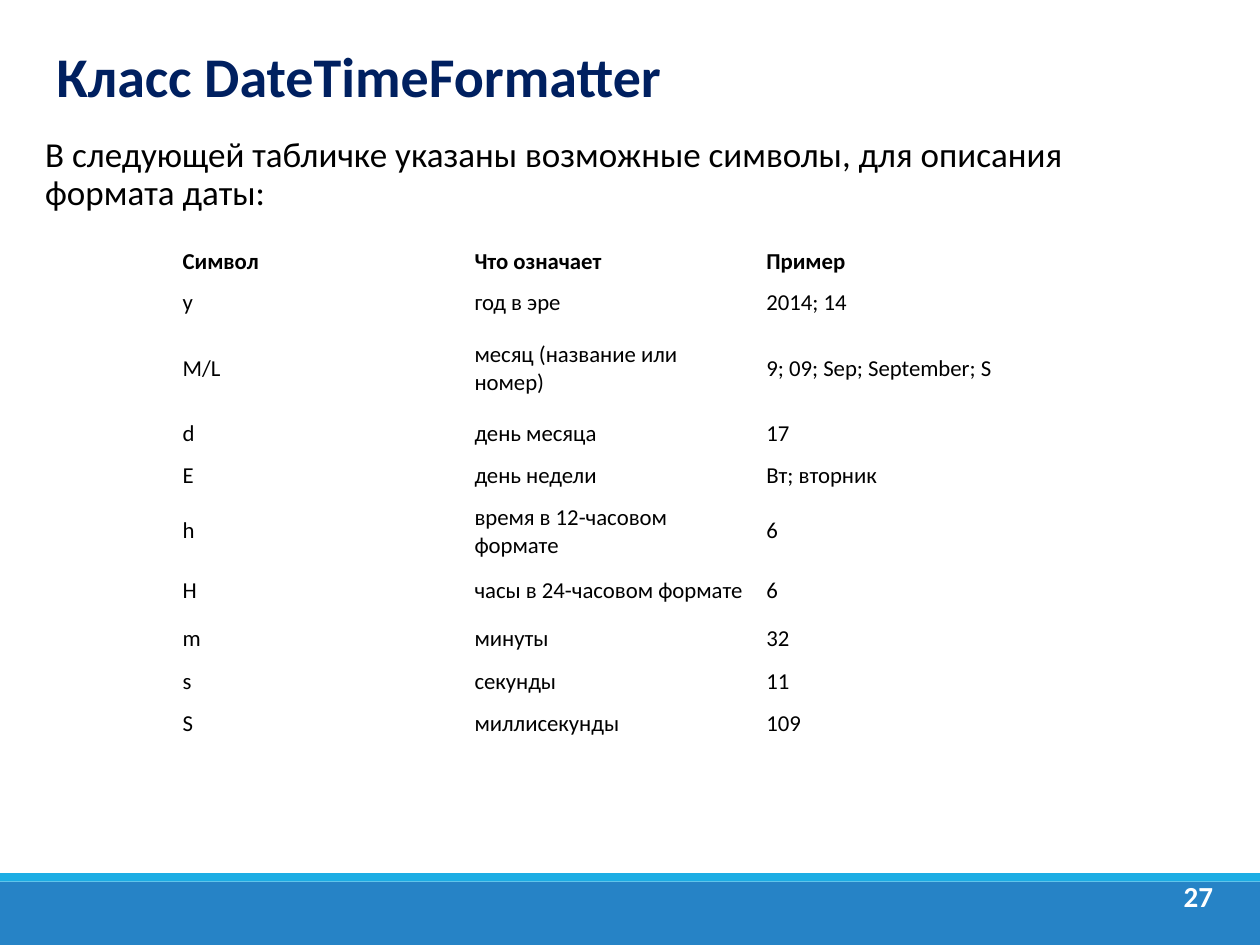
from pptx import Presentation
from pptx.dml.color import RGBColor
from pptx.enum.shapes import MSO_SHAPE
from pptx.enum.text import MSO_ANCHOR, PP_ALIGN
from pptx.util import Inches, Pt

WIDTH, HEIGHT = Inches(10), Inches(7.5)
FONT = "Calibri"
COLORS = {
    "band": "2683C6",
    "stripe": "1CADE4",
    "title": "002060",
    "text": "000000",
    "white": "FFFFFF",
}
SYMBOLS = [
    ("Символ", "Что означает", "Пример"),
    ("y", "год в эре", "2014; 14"),
    ("M/L", "месяц (название или номер)", "9; 09; Sep; September; S"),
    ("d", "день месяца", "17"),
    ("E", "день недели", "Вт; вторник"),
    ("h", "время в 12-часовом формате", "6"),
    ("H", "часы в 24-часовом формате", "6"),
    ("m", "минуты", "32"),
    ("s", "секунды", "11"),
    ("S", "миллисекунды", "109"),
]
ROW_HEIGHTS = [0.29, 0.34, 0.7, 0.34, 0.34, 0.5, 0.42, 0.34, 0.34, 0.33]


def color(name):
    return RGBColor.from_string(COLORS[name])


def share(left, top, width, height):
    return (
        round(WIDTH * left / 100),
        round(HEIGHT * top / 100),
        round(WIDTH * width / 100),
        round(HEIGHT * height / 100),
    )


def write(text_frame, text, size, color_name, bold=False):
    text_frame.text = text
    paragraph = text_frame.paragraphs[0]
    font = paragraph.runs[0].font
    font.name, font.size, font.bold = FONT, Pt(size), bold
    font.color.rgb = color(color_name)
    return paragraph


def add_text(slide, box, text, size, color_name, bold=False):
    text_frame = slide.shapes.add_textbox(*box).text_frame
    text_frame.word_wrap = True
    return text_frame, write(text_frame, text, size, color_name, bold)


def add_bar(slide, box, color_name):
    bar = slide.shapes.add_shape(MSO_SHAPE.RECTANGLE, *box)
    bar.shadow.inherit = False
    bar.fill.solid()
    bar.fill.fore_color.rgb = color(color_name)
    bar.line.fill.background()


def add_footer(slide, box, number):
    left, top, width, height = box
    stripe_height = round(height * 0.12)
    add_bar(slide, (left, top + stripe_height, width, height - stripe_height), "band")
    add_bar(slide, (left, top, width, stripe_height), "stripe")
    number_box = (
        left + round(width * 0.927),
        top + round(height * 0.035),
        round(width * 0.048),
        round(height * 0.7),
    )
    _, paragraph = add_text(slide, number_box, number, 16.6, "white", True)
    paragraph.alignment = PP_ALIGN.CENTER
    paragraph.line_spacing = 0.9


def add_title(slide, box, text):
    text_frame, _ = add_text(slide, box, text, 32, "title", True)
    text_frame.vertical_anchor = MSO_ANCHOR.MIDDLE


def add_body(slide, box, text):
    _, paragraph = add_text(slide, box, text, 20, "text")
    paragraph.line_spacing = 0.9
    paragraph.space_before = Pt(12)
    paragraph.space_after = Pt(2)


def add_symbol_table(slide, box, rows):
    left, top, width, height = box
    table = slide.shapes.add_table(len(rows), len(rows[0]), *box).table
    for column in table.columns:
        column.width = round(width / len(rows[0]))
    for row_index, (row, row_height) in enumerate(zip(rows, ROW_HEIGHTS)):
        table.rows[row_index].height = round(height * row_height / sum(ROW_HEIGHTS))
        for column_index, text in enumerate(row):
            cell = table.cell(row_index, column_index)
            cell.fill.solid()
            cell.fill.fore_color.rgb = color("white")
            cell.vertical_anchor = MSO_ANCHOR.MIDDLE
            cell.margin_left = cell.margin_right = Inches(0.07)
            cell.margin_top = cell.margin_bottom = Inches(0.05)
            write(cell.text_frame, text, 13, "text", row_index == 0)
    table.horz_banding = False
    table.first_row = False


presentation = Presentation()
presentation.slide_width, presentation.slide_height = WIDTH, HEIGHT
slide = presentation.slides.add_slide(presentation.slide_layouts[6])
add_footer(slide, share(0, 92.4, 100, 7.6), "27")
add_title(slide, share(3.5, 2.8, 90, 10.27), "Класс DateTimeFormatter")
add_body(
    slide,
    share(2.6, 13.87, 91.9, 72.13),
    "В следующей табличке указаны возможные символы, для описания формата даты:",
)
add_symbol_table(slide, share(13.8, 25.6, 69.5, 52.27), SYMBOLS)
presentation.save("out.pptx")
